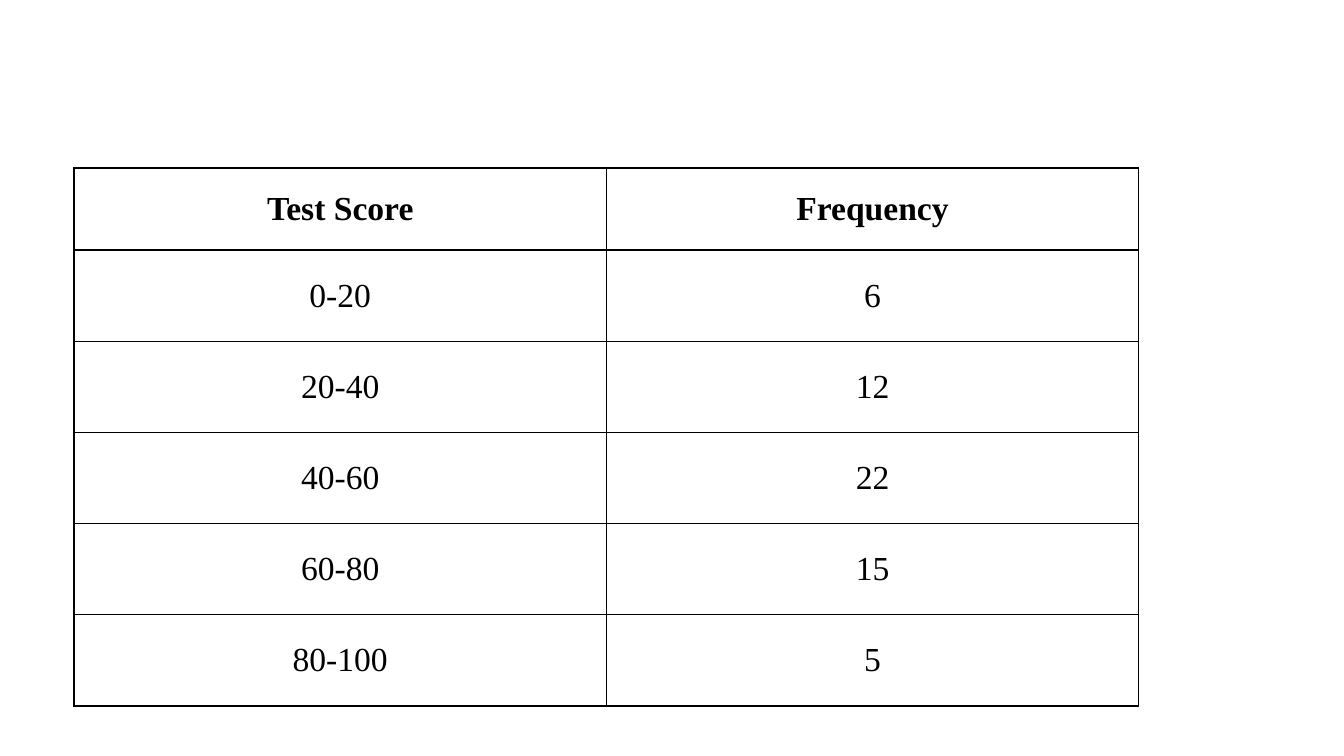
from lxml.etree import SubElement
from pptx import Presentation
from pptx.dml.color import RGBColor
from pptx.enum.text import MSO_ANCHOR, PP_ALIGN
from pptx.oxml.ns import qn
from pptx.util import Cm, Pt

COLORS = {"text": "000000", "border": "000000"}
FONT = "Times New Roman"
SCORES = [
    ("Test Score", "Frequency"),
    ("0-20", "6"),
    ("20-40", "12"),
    ("40-60", "22"),
    ("60-80", "15"),
    ("80-100", "5"),
]


def add_borders(cell):
    """Draw a thin line on all four sides of a cell."""
    properties = cell._tc.get_or_add_tcPr()
    for position, side in enumerate(("a:lnL", "a:lnR", "a:lnT", "a:lnB")):
        line = properties.makeelement(qn(side), {"w": str(Pt(1))})
        fill = SubElement(line, qn("a:solidFill"))
        SubElement(fill, qn("a:srgbClr"), val=COLORS["border"])
        properties.insert(position, line)


def format_cell(cell, text, is_header):
    cell.fill.background()
    add_borders(cell)
    cell.vertical_anchor = MSO_ANCHOR.MIDDLE
    cell.margin_left = cell.margin_right = Cm(0.15)
    cell.margin_top = cell.margin_bottom = Cm(0.15 if is_header else 0.23)
    cell.text_frame.text = text
    paragraph = cell.text_frame.paragraphs[0]
    paragraph.alignment = PP_ALIGN.CENTER
    paragraph.space_after = Pt(7.5)
    font = paragraph.runs[0].font
    font.name = FONT
    font.size = Pt(18)
    font.bold = is_header
    font.color.rgb = RGBColor.from_string(COLORS["text"])


def add_frequency_table(slide, left, top, width, height):
    table = slide.shapes.add_table(
        len(SCORES), len(SCORES[0]), left, top, width, height
    ).table
    table.horz_banding = False

    # Shorter header, then equal rows
    header_height = Cm(1.55)
    score_height = (height - header_height) // (len(SCORES) - 1)
    for index, values in enumerate(SCORES):
        is_header = index == 0
        table.rows[index].height = header_height if is_header else score_height
        for column, value in enumerate(values):
            format_cell(table.cell(index, column), value, is_header)

    # The first header cell has narrower side margins
    corner = table.cell(0, 0)
    corner.margin_left = corner.margin_right = Cm(0.08)


def main():
    presentation = Presentation()
    presentation.slide_width = Cm(25.4)
    presentation.slide_height = Cm(14.29)
    blank_layout = presentation.slide_layouts[6]
    slide = presentation.slides.add_slide(blank_layout)
    add_frequency_table(slide, Cm(1.4), Cm(3.18), Cm(20.12), Cm(10.16))
    presentation.save("out.pptx")


if __name__ == "__main__":
    main()
